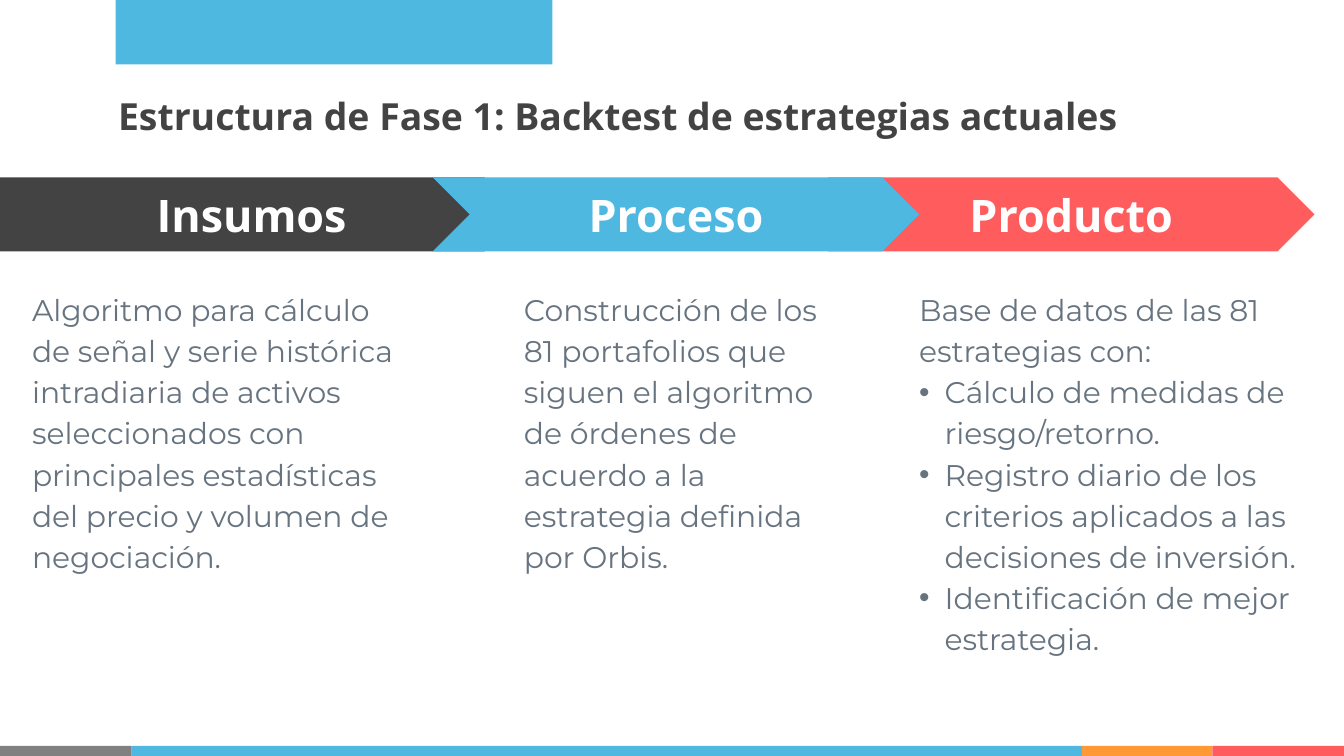
from lxml import etree
from pptx import Presentation
from pptx.dml.color import RGBColor
from pptx.enum.shapes import MSO_SHAPE as Shape
from pptx.enum.text import MSO_ANCHOR as Anchor, PP_ALIGN as Align
from pptx.oxml.ns import qn
from pptx.util import Inches, Pt

WHITE = RGBColor(0xFF, 0xFF, 0xFF)
DARK = RGBColor(0x43, 0x43, 0x43)
BLUE = RGBColor(0x4E, 0xB8, 0xE1)
RED = RGBColor(0xFF, 0x5D, 0x5D)
ORANGE = RGBColor(0xFF, 0x99, 0x33)
GRAY = RGBColor(0x80, 0x80, 0x80)
SLATE = RGBColor(0x67, 0x74, 0x80)

HEADING_FONT = "Open Sans"
BODY_FONT = "Montserrat"
INSET = Inches(0.1)
BULLET_INDENT = Inches(0.19)


class SlideBuilder:
    def __init__(self, slide):
        self.slide = slide

    def set_insets(self, frame):
        frame.word_wrap = True
        frame.margin_left = frame.margin_right = INSET
        frame.margin_top = frame.margin_bottom = INSET

    def format_text(self, paragraph, font_name, size, color, bold=False):
        for run in paragraph.runs:
            font = run.font
            font.name, font.size, font.bold = font_name, Pt(size), bold
            font.color.rgb = color

    def block(self, kind, left, top, width, height, color):
        shape = self.slide.shapes.add_shape(
            kind, Inches(left), Inches(top), Inches(width), Inches(height))
        shape.shadow.inherit = False
        shape.fill.solid()
        shape.fill.fore_color.rgb = color
        shape.line.fill.background()
        return shape

    def arrow(self, kind, left, width, color, label):
        shape = self.block(kind, left, 1.32, width, 0.55, color)
        shape.adjustments[0] = 0.5
        frame = shape.text_frame
        self.set_insets(frame)
        frame.vertical_anchor = Anchor.MIDDLE
        frame.text = label
        paragraph = frame.paragraphs[0]
        paragraph.alignment = Align.CENTER
        self.format_text(paragraph, HEADING_FONT, 24, WHITE, bold=True)

    def text_box(self, left, top, width, height):
        box = self.slide.shapes.add_textbox(
            Inches(left), Inches(top), Inches(width), Inches(height))
        self.set_insets(box.text_frame)
        return box.text_frame

    def title(self, text):
        frame = self.text_box(0.78, 0.59, 8.99, 0.57)
        frame.text = text
        self.format_text(frame.paragraphs[0], HEADING_FONT, 20, DARK, bold=True)

    def description(self, left, width, text, bullets):
        frame = self.text_box(left, 2.03, width, 3.52)
        frame.text = "\n".join([text, *bullets])
        for index, paragraph in enumerate(frame.paragraphs):
            paragraph.line_spacing = 1.15
            self.format_text(paragraph, BODY_FONT, 16, SLATE)
            if index > 0:
                self.add_bullet(paragraph)

    def add_bullet(self, paragraph):
        properties = paragraph._p.get_or_add_pPr()
        properties.set("marL", str(BULLET_INDENT))
        properties.set("indent", str(-BULLET_INDENT))
        color = etree.SubElement(properties, qn("a:buClr"))
        etree.SubElement(color, qn("a:srgbClr")).set("val", str(SLATE))
        etree.SubElement(properties, qn("a:buFont")).set("typeface", "Arial")
        etree.SubElement(properties, qn("a:buChar")).set("char", "•")


# Stages from back to front: each arrow tip overlaps the next stage
STAGES = [
    (Shape.CHEVRON, 6.16, 3.62, RED, "Producto", 6.74, 3.18,
     "Base de datos de las 81 estrategias con:",
     ["Cálculo de medidas de riesgo/retorno.",
      "Registro diario de los criterios aplicados a las decisiones de inversión.",
      "Identificación de mejor estrategia."]),
    (Shape.PENTAGON, 0, 3.88, DARK, "Insumos", 0.14, 3.02,
     "Algoritmo para cálculo de señal y serie histórica intradiaria de activos "
     "seleccionados con principales estadísticas del precio y volumen de "
     "negociación.", []),
    (Shape.CHEVRON, 3.22, 3.62, BLUE, "Proceso", 3.8, 2.45,
     "Construcción de los 81 portafolios que siguen el algoritmo de órdenes de "
     "acuerdo a la estrategia definida por Orbis.", []),
]
FOOTER = [(0.98, GRAY), (7.07, BLUE), (0.97, ORANGE), (0.98, RED)]


def main():
    # Widescreen 16:9 slide
    presentation = Presentation()
    presentation.slide_width = Inches(10)
    presentation.slide_height = Inches(10 * 9 / 16)
    builder = SlideBuilder(
        presentation.slides.add_slide(presentation.slide_layouts[6]))

    # Footer stripe
    left = 0
    for width, color in FOOTER:
        builder.block(Shape.RECTANGLE, left, 5.55, width, 0.08, color)
        left += width

    # Title
    builder.title("Estructura de Fase 1: Backtest de estrategias actuales")

    # Process stages
    for kind, left, width, color, label, text_left, text_width, text, bullets in STAGES:
        builder.arrow(kind, left, width, color, label)
        builder.description(text_left, text_width, text, bullets)

    # Top accent
    builder.block(Shape.RECTANGLE, 0.86, 0, 3.25, 0.48, BLUE)

    presentation.save("out.pptx")


if __name__ == "__main__":
    main()
